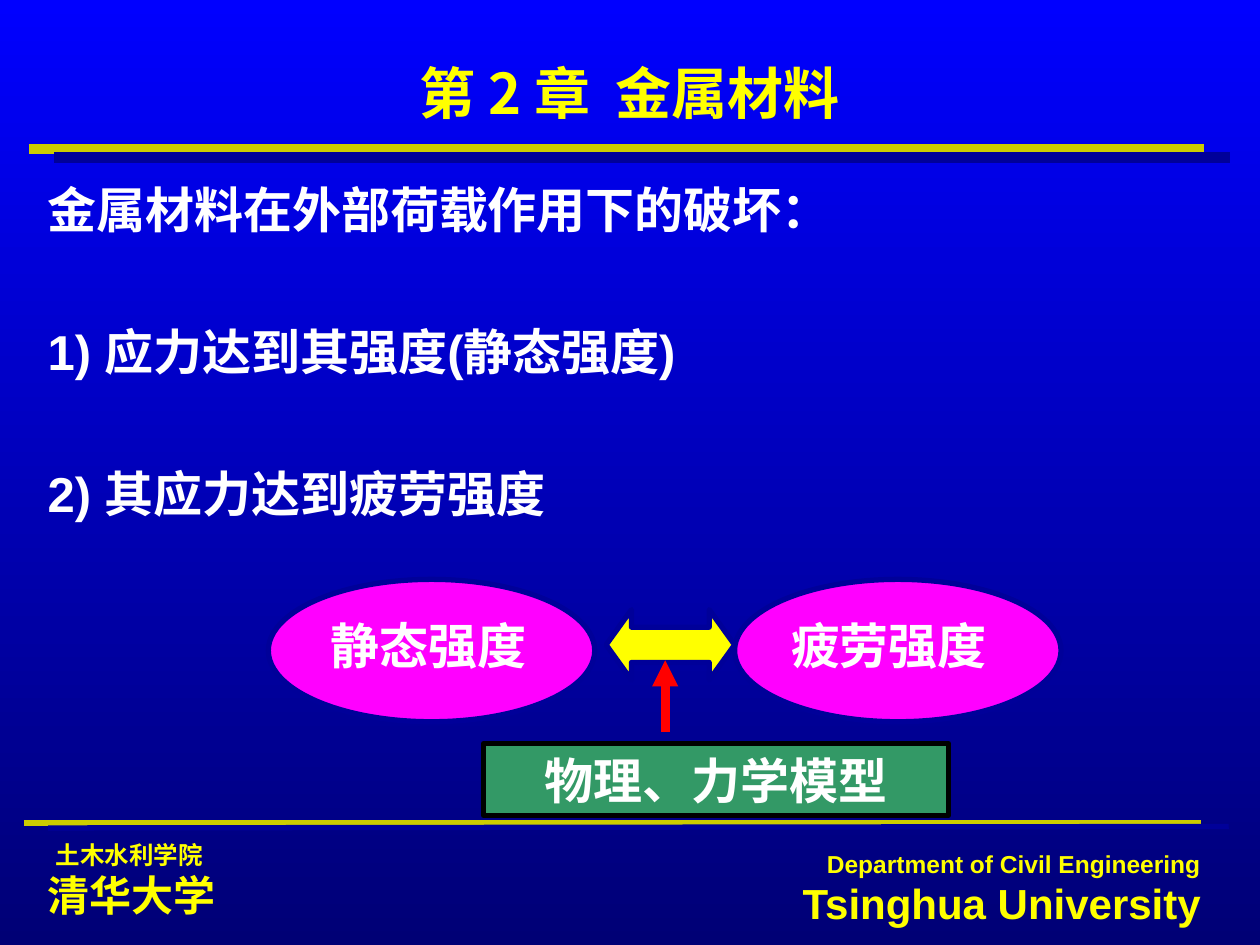
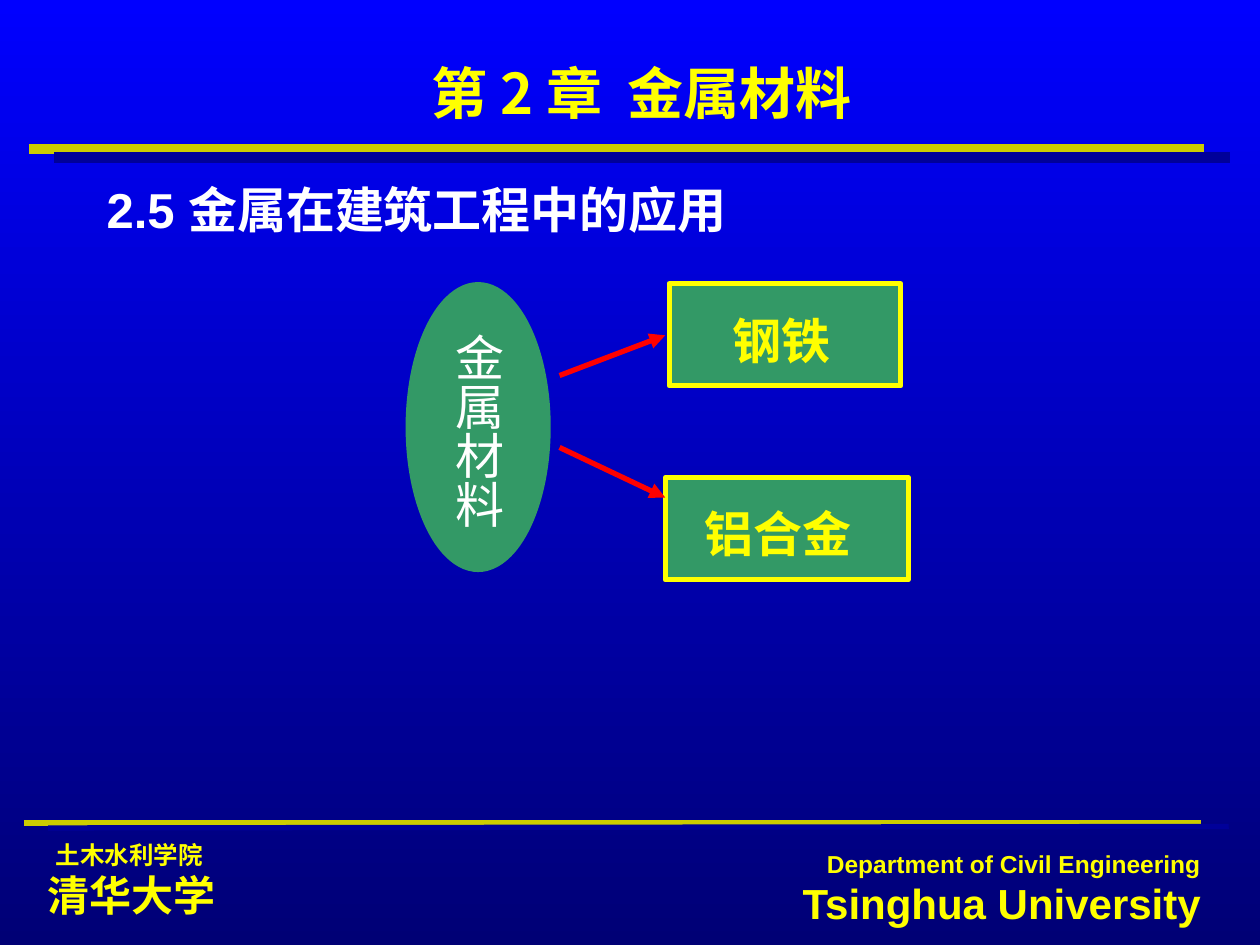
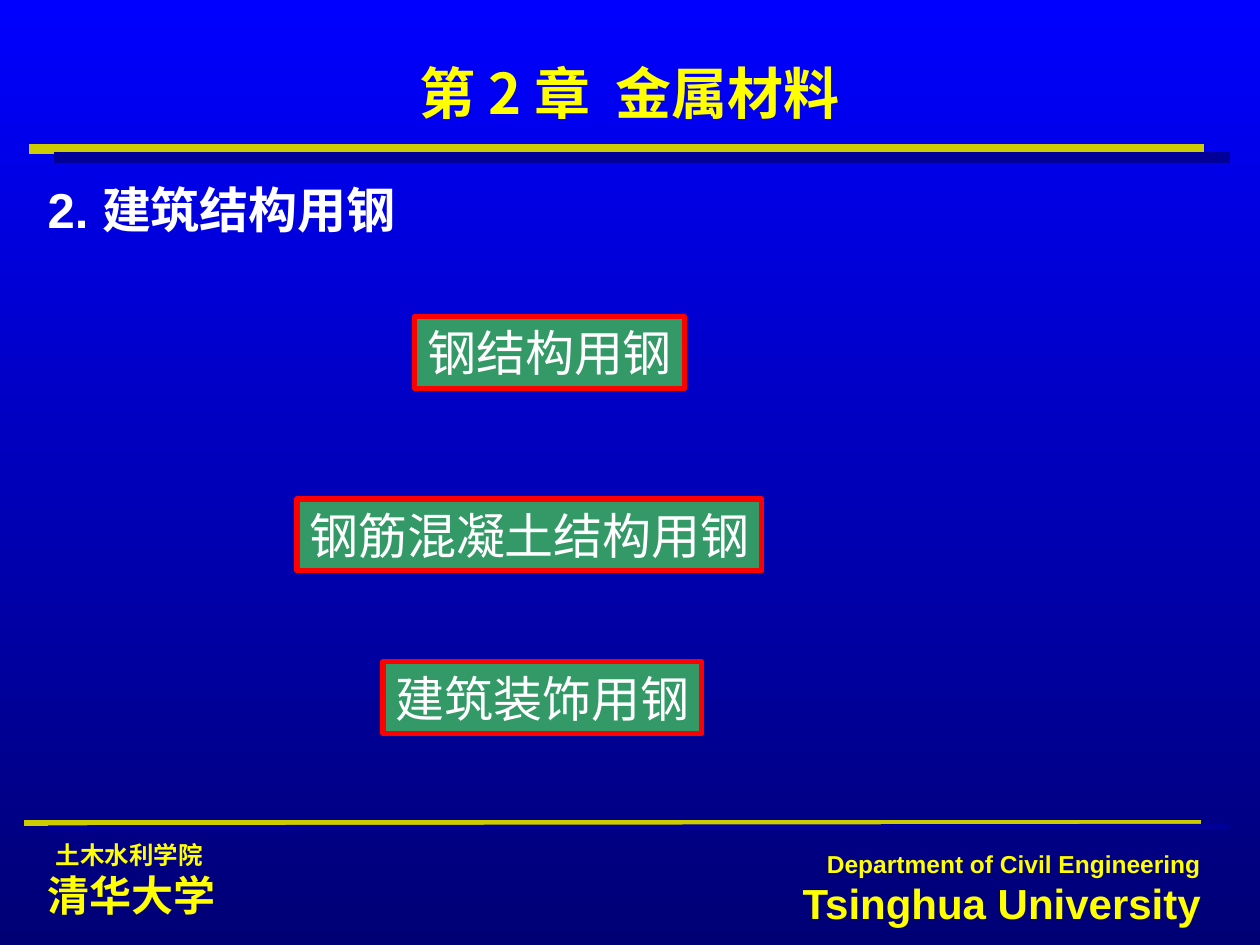
from dataclasses import dataclass
from typing import Optional

from lxml import etree
from pptx import Presentation
from pptx import util as u
from pptx.dml.color import RGBColor
from pptx.enum import shapes, text
from pptx.oxml.ns import qn


# Theme: colours, fonts and type sizes
@dataclass(frozen=True)
class Theme:
    sky: str = "0000FF"
    deep: str = "000075"
    navy: str = "000099"
    gold: str = "CCCC00"
    yellow: str = "FFFF00"
    white: str = "FFFFFF"
    magenta: str = "FF00FF"
    green: str = "339966"
    red: str = "FF0000"
    black: str = "000000"
    font: str = "Arial"
    title_font: str = "Noto Sans CJK SC"
    label_font: str = "Times New Roman"
    title_size: float = 32
    body_size: float = 28
    school_size: float = 24
    small_size: float = 14
    outline: float = 3


THEME = Theme()
CENTER = text.PP_ALIGN.CENTER
RIGHT = text.PP_ALIGN.RIGHT
MIDDLE = text.MSO_ANCHOR.MIDDLE
OVAL = shapes.MSO_SHAPE.OVAL
RECTANGLE = shapes.MSO_SHAPE.RECTANGLE
ROW = 1.45  # height of a one-line label, cm


# Repeated elements, all lengths in centimetres
@dataclass(frozen=True)
class Box:
    left: float
    top: float
    width: float
    height: float = ROW

    def lengths(self) -> tuple:
        return tuple(u.Cm(n) for n in (self.left, self.top, self.width, self.height))


@dataclass(frozen=True)
class Rule:
    start: tuple
    end: tuple
    color: str
    weight: float
    arrow: bool = False


@dataclass(frozen=True)
class Figure:
    kind: shapes.MSO_SHAPE
    box: Box
    fill: str
    line: str
    words: str = ""
    bold: bool = False


@dataclass(frozen=True)
class Label:
    words: str
    box: Box
    color: str = THEME.white
    font: str = THEME.font
    bold: bool = True
    vertical: bool = False


FRAME_RULES = (
    Rule((0.58, 3), (24.28, 3), THEME.gold, 6),
    Rule((1.09, 3.18), (24.79, 3.18), THEME.navy, 6),
    Rule((0.48, 16.59), (24.21, 16.59), THEME.gold, 3),
    Rule((0.97, 16.69), (24.77, 16.66), THEME.navy, 3),
)
TITLE_BOX = Box(1.9, 0.99, 21.59, 1.73)
WIDE_BODY = Box(0.71, 3.48, 23.75, 13)
INSET_BODY = Box(1.9, 3.48, 21.59, 13)


# Text
def add_line(frame, *spans: str, size: float = THEME.body_size, color: str = THEME.white,
             font: str = THEME.font, bold: bool = True, align=None,
             before: float = 0, hanging: float = 0, indent: float = 0,
             gap: float = 0) -> None:
    """Add one paragraph; a span that is a single space is widened by gap points."""
    para = frame.paragraphs[0]
    if para.runs:
        para = frame.add_paragraph()
    props = para._p.get_or_add_pPr()
    props.set("marL", str(u.Cm(hanging or indent)))
    props.set("indent", str(-u.Cm(hanging)))
    etree.SubElement(props, qn("a:buNone"))
    para.alignment = align
    para.space_before = u.Pt(before)
    for words in spans:
        span = para.add_run()
        span.text = words
        span.font.size = u.Pt(size)
        span.font.name = font
        span.font.bold = bold
        span.font.color.rgb = RGBColor.from_string(color)
        if words == " ":
            span.font._element.set("spc", str(round(gap * 100)))


def prepare(frame, anchor=MIDDLE, wrap: bool = True) -> None:
    frame.auto_size = text.MSO_AUTO_SIZE.NONE
    frame.vertical_anchor = anchor
    frame.word_wrap = wrap
    frame.margin_left = frame.margin_right = u.Cm(0.25)
    frame.margin_top = frame.margin_bottom = u.Cm(0.13)


def add_text_box(page, box: Box):
    frame = page.shapes.add_textbox(*box.lengths()).text_frame
    prepare(frame)
    return frame


def add_label(page, label: Label) -> None:
    frame = add_text_box(page, label.box)
    if label.vertical:
        frame._txBody.bodyPr.set("vert", "eaVert")
        frame.word_wrap = False
        frame.margin_left = frame.margin_right = u.Cm(0.13)
        frame.margin_top = frame.margin_bottom = u.Cm(0.25)
    add_line(frame, label.words, color=label.color, font=label.font,
             bold=label.bold, align=CENTER)


# Shapes and lines
def add_figure(page, figure: Figure):
    shape = page.shapes.add_shape(figure.kind, *figure.box.lengths())
    shape.shadow.inherit = False
    shape.fill.solid()
    shape.fill.fore_color.rgb = RGBColor.from_string(figure.fill)
    shape.line.color.rgb = RGBColor.from_string(figure.line)
    shape.line.width = u.Pt(THEME.outline)
    if figure.words:
        prepare(shape.text_frame, wrap=False)
        add_line(shape.text_frame, figure.words, bold=figure.bold, align=CENTER)
    return shape


def add_rule(page, rule: Rule) -> None:
    ends = [u.Cm(n) for n in (*rule.start, *rule.end)]
    line = page.shapes.add_connector(shapes.MSO_CONNECTOR.STRAIGHT, *ends)
    line.line.color.rgb = RGBColor.from_string(rule.color)
    line.line.width = u.Pt(rule.weight)
    if rule.arrow:
        outline = line.line._get_or_add_ln()
        etree.SubElement(outline, qn("a:tailEnd"), type="triangle")
    etree.SubElement(line._element.spPr, qn("a:effectLst"))


# Shared page frame: rules, footers, title and body
def paint_background(deck) -> None:
    fill = deck.slide_master.background.fill
    fill.gradient()
    fill.gradient_angle = 270
    for stop, color in zip(fill.gradient_stops, (THEME.sky, THEME.deep)):
        stop.color.rgb = RGBColor.from_string(color)
    fill.gradient_stops[0].position = 0
    fill.gradient_stops[1].position = 1


def add_footers(page) -> None:
    left = add_text_box(page, Box(0.71, 16.76, 10.11, 1.96))
    add_line(left, "土木水利学院", size=THEME.small_size, color=THEME.yellow, indent=0.16)
    add_line(left, "清华大学", size=THEME.school_size, color=THEME.yellow)
    right = add_text_box(page, Box(14.35, 16.97, 10.11, 1.88))
    for words, size in (("Department of Civil Engineering", THEME.small_size),
                        ("Tsinghua University", THEME.school_size)):
        add_line(right, words, size=size, color=THEME.yellow, align=RIGHT)


def place(shape, box: Box) -> None:
    shape.left, shape.top, shape.width, shape.height = box.lengths()


def add_page(deck, lines: tuple, body_box: Box = WIDE_BODY,
             title_box: Optional[Box] = None):
    page = deck.slides.add_slide(deck.slide_layouts[1])
    for rule in FRAME_RULES:
        add_rule(page, rule)
    add_footers(page)

    title = page.shapes.title
    place(title, title_box or TITLE_BOX)
    prepare(title.text_frame)
    add_line(title.text_frame, "第 2 章", " ", "金属材料", size=THEME.title_size,
             color=THEME.yellow, font=THEME.title_font, align=CENTER, gap=7.2)

    body = page.placeholders[1]
    place(body, body_box)
    prepare(body.text_frame, anchor=text.MSO_ANCHOR.TOP)
    for index, words in enumerate(lines):
        add_line(body.text_frame, words, hanging=0.95, before=47.7 if index else 0)
    return page


# Slide 1: two ways of failure and the model that links them
def build_failure(deck) -> None:
    page = add_page(deck, ("金属材料在外部荷载作用下的破坏：",
                           "1) 应力达到其强度(静态强度)",
                           "2) 其应力达到疲劳强度"))
    strengths = (
        (5.41, Label("静态强度", Box(6.12, 12.27, 5.03), font=THEME.label_font)),
        (14.81, Label("疲劳强度", Box(15.29, 12.27, 5.26), font=THEME.label_font)),
    )
    for left, label in strengths:
        add_figure(page, Figure(OVAL, Box(left, 11.68, 6.58, 2.87),
                                THEME.magenta, THEME.navy))
        add_label(page, label)
    link = add_figure(page, Figure(shapes.MSO_SHAPE.LEFT_RIGHT_ARROW,
                                   Box(12.22, 12.29, 2.59, 1.42),
                                   THEME.yellow, THEME.navy))
    link.adjustments[0], link.adjustments[1] = 0.5, 0.36
    add_figure(page, Figure(RECTANGLE, Box(9.75, 14.99, 9.37), THEME.green,
                            THEME.black, "物理、力学模型", bold=True))
    add_rule(page, Rule((13.41, 14.76), (13.41, 13.31), THEME.red, 5, arrow=True))


# Slide 2: metals used in building
def build_metals(deck) -> None:
    page = add_page(deck, ("2.5 金属在建筑工程中的应用",), INSET_BODY,
                    Box(1.9, 0.99, 22.07, 1.73))
    add_figure(page, Figure(OVAL, Box(8.23, 5.74, 2.82, 5.74), THEME.green, THEME.green))
    add_label(page, Label("金属材料", Box(8.81, 6.48, 1.68, 4.22), bold=False,
                          vertical=True))
    metals = (
        (Box(13.49, 5.72, 4.67, 2.06), "钢铁", Box(14.02, 6.12, 3.48), 7.57, 6.76),
        (Box(13.41, 9.63, 4.9, 2.06), "铝合金", Box(13.49, 10.01, 4.39), 9.02, 10.03),
    )
    for frame_box, words, label_box, arrow_start, arrow_end in metals:
        add_figure(page, Figure(RECTANGLE, frame_box, THEME.green, THEME.yellow))
        add_label(page, Label(words, label_box, color=THEME.yellow))
        add_rule(page, Rule((11.28, arrow_start), (13.41, arrow_end),
                            THEME.red, 3, arrow=True))


# Slide 3: kinds of structural steel
def build_steels(deck) -> None:
    page = add_page(deck, ("2. 建筑结构用钢",))
    steels = (
        ("钢结构用钢", Box(8.36, 6.38, 5.44)),
        ("钢筋混凝土结构用钢", Box(5.99, 10.06, 9.37)),
        ("建筑装饰用钢", Box(7.72, 13.34, 6.43)),
    )
    for words, box in steels:
        add_figure(page, Figure(RECTANGLE, box, THEME.green, THEME.red, words))


def main() -> None:
    deck = Presentation()
    deck.slide_width, deck.slide_height = u.Cm(25.4), u.Cm(19.05)
    paint_background(deck)
    for build in (build_failure, build_metals, build_steels):
        build(deck)
    deck.save("out.pptx")


if __name__ == "__main__":
    main()
